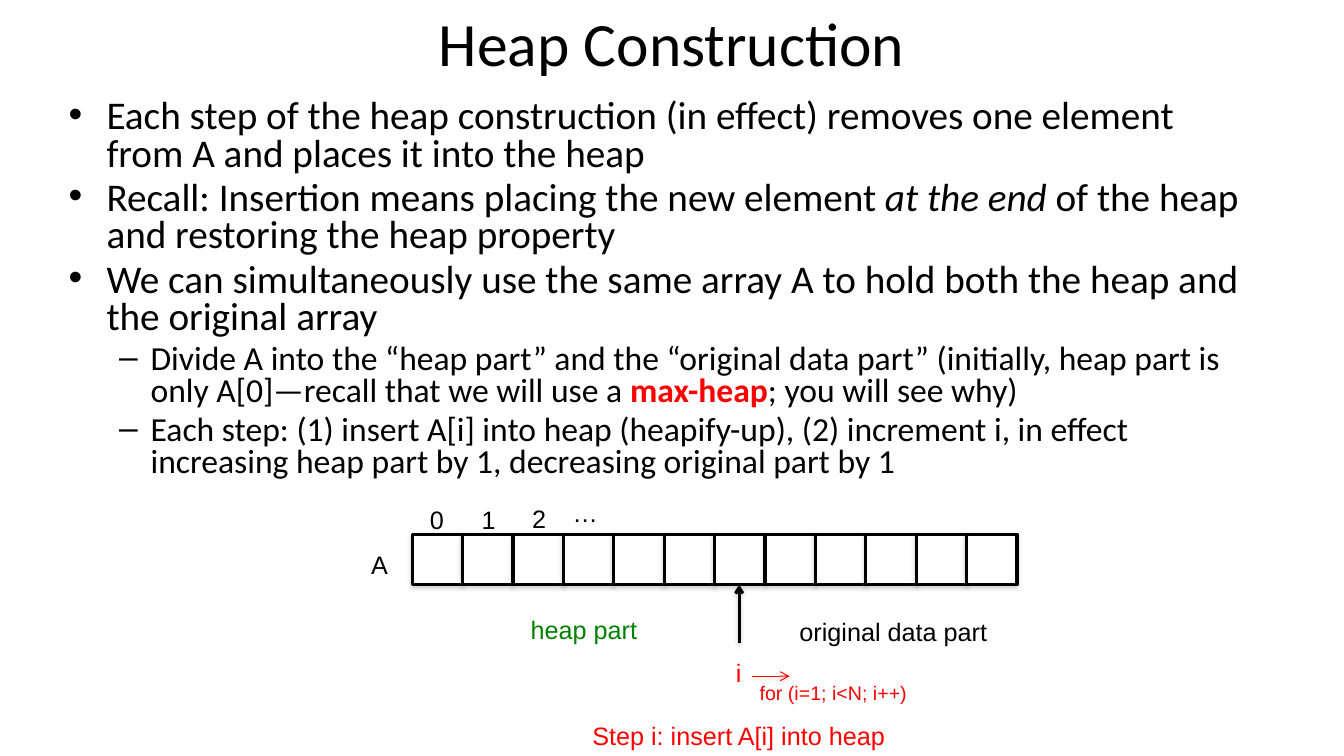
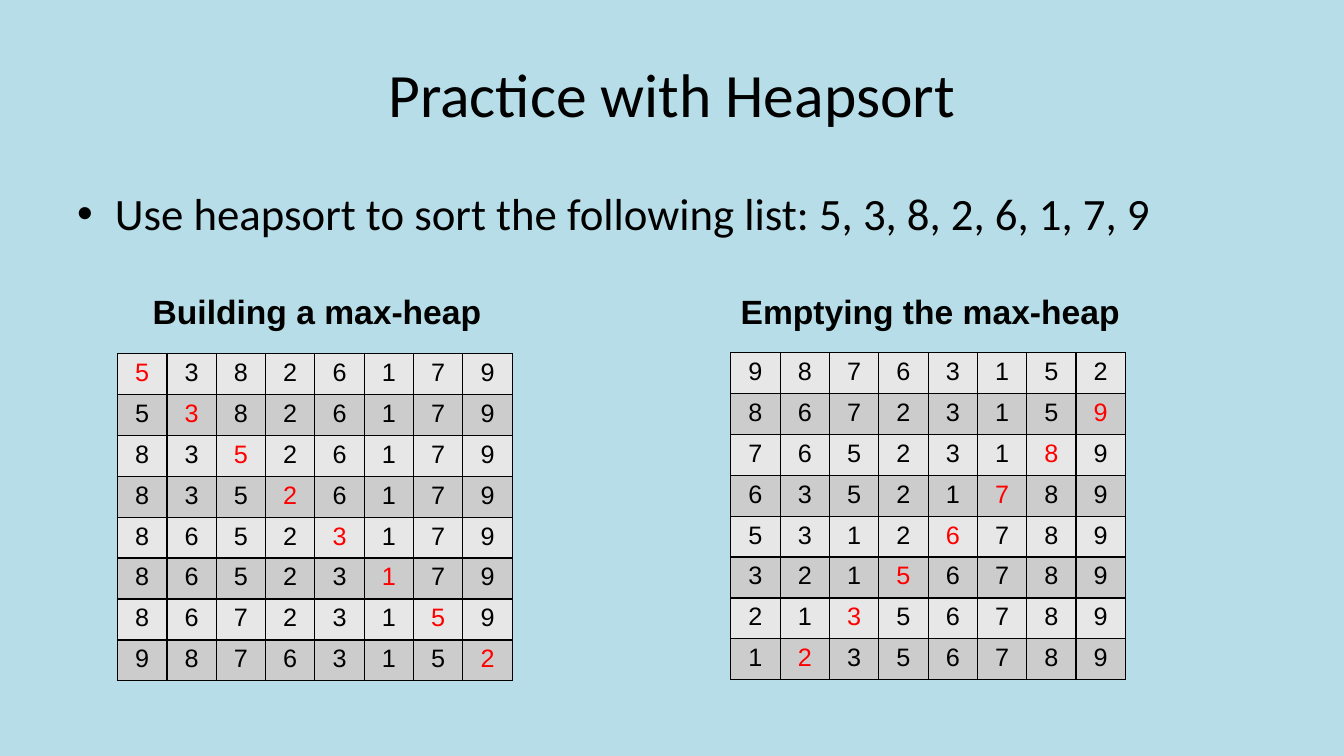
from lxml.etree import SubElement
from pptx import Presentation
from pptx.dml.color import RGBColor
from pptx.enum.shapes import MSO_CONNECTOR, MSO_SHAPE
from pptx.enum.text import MSO_ANCHOR, MSO_AUTO_SIZE, PP_ALIGN
from pptx.oxml.ns import qn
from pptx.util import Pt

COLORS = {
    "black": "000000",
    "white": "FFFFFF",
    "red": "FF0000",
    "green": "008000",
    "shadow": "808080",
    "sky": "B7DEE8",
    "light_row": "E7E7E7",
    "dark_row": "CCCCCC",
}
HEADING_FONT = "Calibri"
LABEL_FONT = "Arial"
BULLETS = {0: ("•", 27, 27), 1: ("–", 58.5, 22.5)}
CELL = 36
ARRAY_LEFT, ARRAY_TOP, ARRAY_LENGTH = 294.5, 381.6, 12

CONSTRUCTION_POINTS = [
    (0, 28, [("Each step of the heap construction (in effect) removes one element "
              "from A and places it into the heap", "")]),
    (0, 28, [("Recall: Insertion means placing the new element ", ""),
             ("at the end ", "italic"),
             ("of the heap and restoring the heap property", "")]),
    (0, 28, [("We can simultaneously use the same array A to hold both the heap "
              "and the original array", "")]),
    (1, 24, [("Divide A into the “heap part” and the “original data part” (initially, "
              "heap part is only A[0]—recall that we will use a ", ""),
             ("max-heap", "strong"),
             ("; you will see why)", "")]),
    (1, 24, [("Each step: (1) insert A[i] into heap (heapify-up), (2) increment i, in "
              "effect increasing heap part by 1, decreasing original part by 1", "")]),
]
PRACTICE_POINTS = [
    (0, 32, [("Use heapsort to sort the following list: 5, 3, 8, 2, 6, 1, 7, 9", "")]),
]
ARRAY_LABELS = [
    ("heap part", 372, 435.6, 91.5, 18, "green"),
    ("original data part", 564, 436.5, 150, 18, "black"),
    ("i", 518.5, 466, 18.5, 18, "red"),
    ("for (i=1; i<N; i++)", 535.5, 483, 121, 14, "red"),
    ("A", 258, 389, 27, 18, "black"),
    ("0", 300, 357, 24.5, 18, "black"),
    ("1", 337, 356.4, 24.5, 18, "black"),
    ("2", 373, 355.7, 24.5, 18, "black"),
    ("…", 402, 351.5, 32.5, 18, "black"),
    ("Step i: insert A[i] into heap", 416, 511, 225.5, 18, "red"),
]
BUILDING_ROWS = [
    "53826179", "53826179", "83526179", "83526179",
    "86523179", "86523179", "86723159", "98763152",
]
EMPTYING_ROWS = [
    "98763152", "86723159", "76523189", "63521789",
    "53126789", "32156789", "21356789", "12356789",
]


def rgb(color):
    """Return the named colour as an RGBColor."""
    return RGBColor.from_string(COLORS[color])


def set_font(font, name, size, color, bold=None):
    """Set the face, size and colour of a font."""
    font.name, font.size, font.bold = name, Pt(size), bold
    font.color.rgb = rgb(color)


def add_color(parent, color):
    """Append a hex colour element and return it."""
    return SubElement(parent, qn("a:srgbClr"), val=COLORS[color])


def add_shadow(shape, distance, opacity):
    """Give a shape a soft shadow straight below it."""
    effects = SubElement(shape.element.spPr, qn("a:effectLst"))
    shadow = SubElement(effects, qn("a:outerShdw"), blurRad=str(Pt(3.1)),
                        dist=str(Pt(distance)), dir="5400000", rotWithShape="0")
    SubElement(add_color(shadow, "shadow"), qn("a:alpha"), val=str(opacity * 1000))


def add_titled_slide(presentation, title, left, top, width, height):
    """Add a title-only slide with its title placed and formatted."""
    slide = presentation.slides.add_slide(presentation.slide_layouts[5])
    shape = slide.shapes.title
    shape.left, shape.top, shape.width, shape.height = map(Pt, (left, top, width, height))
    shape.text_frame.text = title
    shape.text_frame.vertical_anchor = MSO_ANCHOR.MIDDLE
    paragraph = shape.text_frame.paragraphs[0]
    paragraph.alignment = PP_ALIGN.CENTER
    set_font(paragraph.font, HEADING_FONT, 44, "black")
    return slide


def add_bullets(slide, points, left, top, width, height, line_spacing=1.0):
    """Add a wrapped text box of bulleted paragraphs."""
    frame = slide.shapes.add_textbox(*map(Pt, (left, top, width, height))).text_frame
    frame.word_wrap = True
    for index, (level, size, runs) in enumerate(points):
        paragraph = frame.paragraphs[0] if index == 0 else frame.add_paragraph()
        paragraph.line_spacing = line_spacing
        if index:
            paragraph.space_before = Pt(4.6)
        character, margin, hanging = BULLETS[level]
        properties = paragraph._p.get_or_add_pPr()
        properties.set("marL", str(Pt(margin)))
        properties.set("indent", str(-Pt(hanging)))
        SubElement(properties, qn("a:buFont"), typeface=LABEL_FONT)
        SubElement(properties, qn("a:buChar"), char=character)
        set_font(paragraph.font, HEADING_FONT, size, "black")
        for text, style in runs:
            run = paragraph.add_run()
            run.text = text
            if style == "italic":
                run.font.italic = True
            elif style == "strong":
                run.font.bold = True
                run.font.color.rgb = rgb("red")


def add_label(slide, text, left, top, width, size, color, bold=None):
    """Add a one-line label that does not wrap."""
    box = slide.shapes.add_textbox(*map(Pt, (left, top, width, size * 1.2 + 7.2)))
    frame = box.text_frame
    frame.word_wrap = False
    frame.auto_size = MSO_AUTO_SIZE.SHAPE_TO_FIT_TEXT
    frame.text = text
    set_font(frame.paragraphs[0].font, LABEL_FONT, size, color, bold)


def add_array(slide):
    """Draw the array as a row of touching square cells."""
    for index in range(ARRAY_LENGTH):
        cell = slide.shapes.add_shape(
            MSO_SHAPE.RECTANGLE, Pt(ARRAY_LEFT + index * CELL), Pt(ARRAY_TOP),
            Pt(CELL), Pt(CELL))
        cell.fill.solid()
        cell.fill.fore_color.rgb = rgb("white")
        cell.line.color.rgb = rgb("black")
        cell.line.width = Pt(2.25)
        add_shadow(cell, 1.8, 35)


def add_arrow(slide, start, end, color, width):
    """Add a straight arrow between two points."""
    arrow = slide.shapes.add_connector(MSO_CONNECTOR.STRAIGHT, *map(Pt, start + end))
    arrow.line.color.rgb = rgb(color)
    arrow.line.width = Pt(width)
    SubElement(arrow.line._get_or_add_ln(), qn("a:tailEnd"), type="arrow")
    add_shadow(arrow, 1.6, 38)


def add_borders(cell):
    """Draw a thin black border on all sides of a table cell."""
    properties = cell._tc.get_or_add_tcPr()
    for side in ("lnL", "lnR", "lnT", "lnB"):
        line = SubElement(properties, qn(f"a:{side}"), w=str(Pt(1)))
        add_color(SubElement(line, qn("a:solidFill")), "black")


def add_trace(slide, rows, left, top, marked_column):
    """Add a table of sorting steps with one red digit per row."""
    count = len(rows)
    table = slide.shapes.add_table(
        count, count, Pt(left), Pt(top), Pt(35.25 * count), Pt(29.25 * count)).table
    table.first_row = table.horz_banding = False
    for row, digits in enumerate(rows):
        for column, digit in enumerate(digits):
            cell = table.cell(row, column)
            add_borders(cell)
            cell.fill.solid()
            cell.fill.fore_color.rgb = rgb("dark_row" if row % 2 else "light_row")
            cell.text = digit
            paragraph = cell.text_frame.paragraphs[0]
            paragraph.alignment = PP_ALIGN.CENTER
            color = "red" if column == marked_column(row) else "black"
            set_font(paragraph.font, LABEL_FONT, 18, color)


def add_construction_slide(presentation):
    """Add the slide that explains heap construction."""
    slide = add_titled_slide(presentation, "Heap Construction", 156, -6, 648, 72)
    add_bullets(slide, CONSTRUCTION_POINTS, 42, 67.5, 864, 286.5, 0.8)
    add_array(slide)
    add_arrow(slide, (528, 459.5), (528, 417.6), "black", 2)
    add_arrow(slide, (537, 483), (564, 483), "red", 0.75)
    for label in ARRAY_LABELS:
        add_label(slide, *label)


def add_practice_slide(presentation):
    """Add the slide that traces heapsort in two tables."""
    slide = add_titled_slide(presentation, "Practice with Heapsort", 48, 21.6, 864, 90)
    slide.background.fill.solid()
    slide.background.fill.fore_color.rgb = rgb("sky")
    add_bullets(slide, PRACTICE_POINTS, 48, 129, 864, 356.5)
    add_trace(slide, BUILDING_ROWS, 84, 252.5, lambda row: row)
    add_trace(slide, EMPTYING_ROWS, 522, 251.75, lambda row: len(EMPTYING_ROWS) - row)
    add_label(slide, "Building a max-heap", 102, 204, 251, 24, "black", True)
    add_label(slide, "Emptying the max-heap", 522, 204, 288, 24, "black", True)


def main():
    """Build the presentation and save it."""
    presentation = Presentation()
    presentation.slide_width, presentation.slide_height = Pt(960), Pt(540)
    add_construction_slide(presentation)
    add_practice_slide(presentation)
    presentation.save("out.pptx")


if __name__ == "__main__":
    main()
